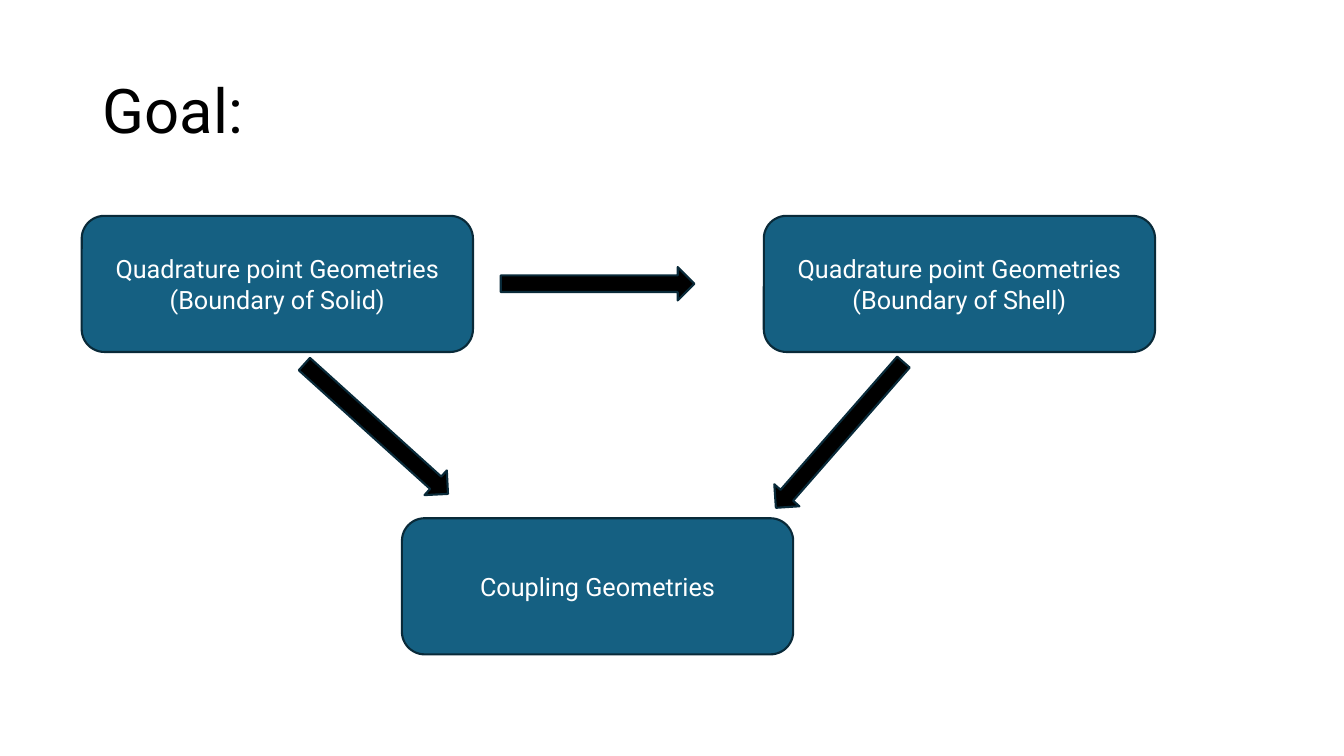
from pptx import Presentation
from pptx.dml.color import RGBColor
from pptx.enum.shapes import MSO_SHAPE as Shape
from pptx.enum.text import MSO_ANCHOR as Anchor, PP_ALIGN as Align
from pptx.util import Cm, Pt

TITLE = "Goal:"
# text, left, top (cm)
BOXES = [
    ("Quadrature point Geometries (Boundary of Solid)", 2.06, 5.44),
    ("Quadrature point Geometries (Boundary of Shell)", 19.25, 5.44),
    ("Coupling Geometries", 10.13, 13.06),
]
# left, top (cm), rotation (degrees)
ARROWS = [
    (12.62, 6.73, 0),
    (7.04, 10.39, 42.1),
    (18.72, 10.54, 131.2),
]
BOX_SIZE = (9.86, 3.43)
ARROW_SIZE = (4.88, 0.84)
FONT = "Roboto"
BLUE, NAVY, BLACK, WHITE = "156082", "092A39", "000000", "FFFFFF"


def rgb(color):
    return RGBColor.from_string(color)


def write(frame, text, size, color, align):
    frame.word_wrap = True
    frame.vertical_anchor = Anchor.MIDDLE
    frame.text = text
    paragraph = frame.paragraphs[0]
    paragraph.alignment = align
    paragraph.font.name = FONT
    paragraph.font.size = Pt(size)
    paragraph.font.color.rgb = rgb(color)
    return paragraph


def add_filled(slide, kind, left, top, size, fill):
    shape = slide.shapes.add_shape(kind, Cm(left), Cm(top), *map(Cm, size))
    shape.shadow.inherit = False
    shape.fill.solid()
    shape.fill.fore_color.rgb = rgb(fill)
    shape.line.color.rgb = rgb(NAVY)
    shape.line.width = Pt(1.5)
    return shape


def main():
    prs = Presentation()
    prs.slide_width, prs.slide_height = Cm(33.87), Cm(19.05)
    slide = prs.slides.add_slide(prs.slide_layouts[5])

    title = slide.shapes.title
    title.left, title.top = Cm(2.34), Cm(1.02)
    title.width, title.height = Cm(29.21), Cm(3.68)
    write(title.text_frame, TITLE, 44, BLACK, Align.LEFT).line_spacing = 0.9

    for text, left, top in BOXES:
        box = add_filled(slide, Shape.ROUNDED_RECTANGLE, left, top, BOX_SIZE, BLUE)
        write(box.text_frame, text, 18, WHITE, Align.CENTER)

    for left, top, angle in ARROWS:
        arrow = add_filled(slide, Shape.RIGHT_ARROW, left, top, ARROW_SIZE, BLACK)
        arrow.rotation = angle

    prs.save("out.pptx")


if __name__ == "__main__":
    main()
